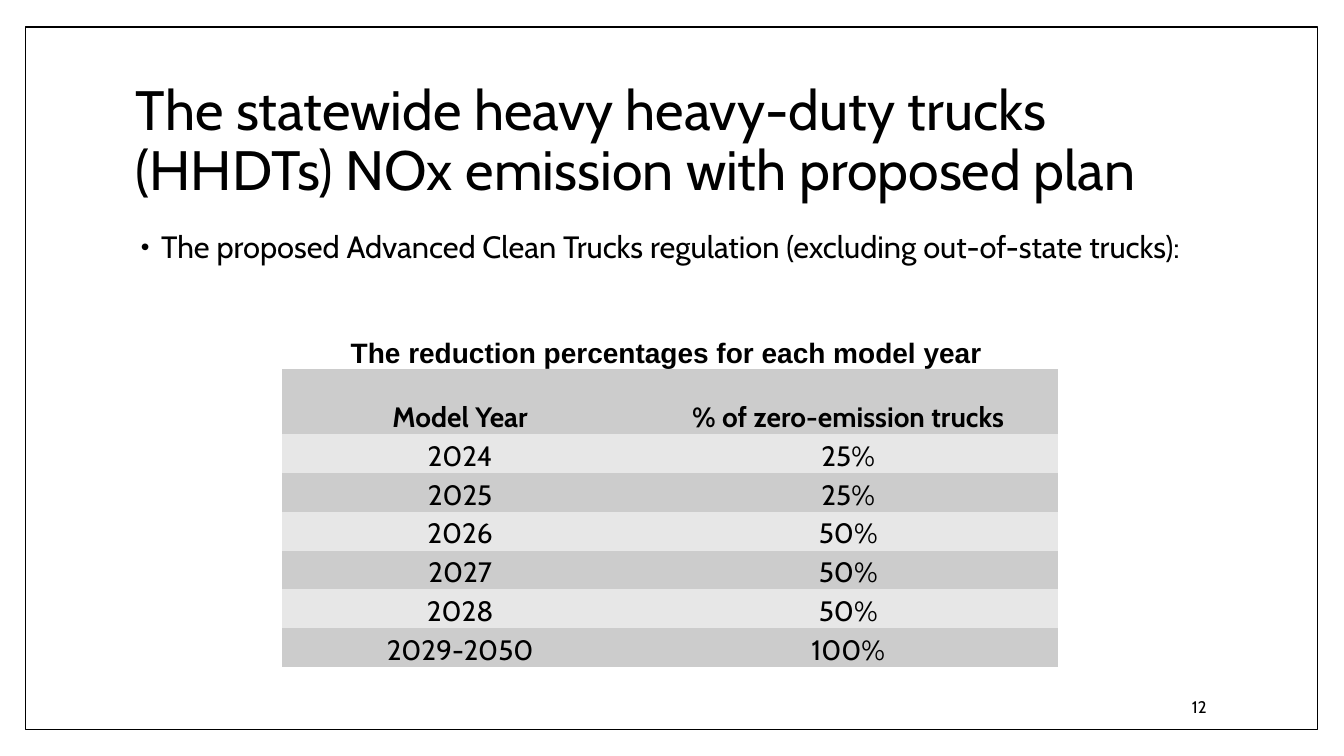
from dataclasses import dataclass

from lxml.etree import SubElement as Sub
from pptx import Presentation
from pptx.dml.color import RGBColor
from pptx.enum.shapes import MSO_SHAPE as Form
from pptx.enum.text import MSO_ANCHOR as Anchor, PP_ALIGN as Align
from pptx.oxml.ns import qn
from pptx.slide import Slide
from pptx.table import Table
from pptx.util import Pt

BLACK = RGBColor(0x00, 0x00, 0x00)
WHITE = RGBColor(0xFF, 0xFF, 0xFF)
DARK = RGBColor(0xCC, 0xCC, 0xCC)
LIGHT = RGBColor(0xE7, 0xE7, 0xE7)
PLAIN = "{2D5ABB26-0587-4C30-8999-92F81FD0307C}"


@dataclass
class Style:
    """Look of a paragraph and its run."""
    size: float
    font: str = "Cabin"
    bold: bool = False
    align: Align = Align.LEFT
    lead: float = 1.0
    before: float = 0


@dataclass
class Note:
    """A text box with one paragraph."""
    text: str
    box: tuple[float, float, float, float]
    style: Style
    anchor: Anchor = Anchor.MIDDLE
    bullet: bool = False


NOTES = [
    Note("The statewide heavy heavy-duty trucks (HHDTs) NOx emission with proposed plan",
         (90, 48.24, 777.6, 106.56), Style(39.6, lead=0.9)),
    Note("The proposed Advanced Clean Trucks regulation (excluding out-of-state trucks):",
         (90, 162, 777.6, 318.24), Style(22, lead=0.9, before=14), Anchor.TOP, True),
    Note("12", (734.4, 490.32, 134.64, 28.8), Style(12, align=Align.RIGHT)),
]
TITLE = "The reduction percentages for each model year "
HEAD = ("Model Year", "% of zero-emission trucks")
YEARS = [("2024", "25%"), ("2025", "25%"), ("2026", "50%"),
         ("2027", "50%"), ("2028", "50%"), ("2029-2050", "100%")]
COLS = (254.16, 300.24)
ROWS = [46.8] * 2 + [22.32] * len(YEARS)
CELL = Style(20, align=Align.CENTER, lead=1.15)
BOLD = Style(20, bold=True, align=Align.CENTER, lead=1.15)
TOP = Style(20, "Arial", True, Align.CENTER, 1.15)


def write(par, text: str, style: Style) -> None:
    """Add one styled run to a paragraph."""
    par.alignment = style.align
    par.line_spacing = style.lead
    par.space_before = Pt(style.before)
    run = par.add_run()
    run.text = text
    run.font.size = Pt(style.size)
    run.font.name = style.font
    run.font.bold = style.bold
    run.font.color.rgb = BLACK


def mark(par) -> None:
    """Give a paragraph a round bullet with a hanging indent."""
    props = par._p.get_or_add_pPr()
    props.set("marL", str(Pt(18)))
    props.set("indent", str(-Pt(14.4)))
    tint = Sub(props, qn("a:buClr"))
    Sub(tint, qn("a:srgbClr"), val=str(BLACK))
    Sub(props, qn("a:buSzPct"), val="80000")
    Sub(props, qn("a:buFont"), typeface="Arial")
    Sub(props, qn("a:buChar"), char="•")


def border(slide: Slide) -> None:
    """Draw the thin border around the slide."""
    rect = slide.shapes.add_shape(Form.RECTANGLE, Pt(18), Pt(19.44), Pt(923.04), Pt(501.84))
    rect.shadow.inherit = False
    rect.fill.solid()
    rect.fill.fore_color.rgb = WHITE
    rect.line.color.rgb = BLACK
    rect.line.width = Pt(1)


def place(slide: Slide, note: Note) -> None:
    """Draw a text box."""
    frame = slide.shapes.add_textbox(*map(Pt, note.box)).text_frame
    frame.word_wrap = True
    frame.vertical_anchor = note.anchor
    par = frame.paragraphs[0]
    write(par, note.text, note.style)
    if note.bullet:
        mark(par)


def put(table: Table, row: int, col: int, text: str, style: Style,
        fill: RGBColor | None = None) -> None:
    """Fill one table cell."""
    cell = table.cell(row, col)
    cell.vertical_anchor = Anchor.BOTTOM
    cell.margin_left = cell.margin_right = Pt(5)
    cell.margin_top = cell.margin_bottom = Pt(0)
    if fill is None:
        cell.fill.background()
    else:
        cell.fill.solid()
        cell.fill.fore_color.rgb = fill
    write(cell.text_frame.paragraphs[0], text, style)


def grid(slide: Slide) -> None:
    """Draw the table of model years."""
    frame = slide.shapes.add_table(len(ROWS), len(COLS), Pt(201.6), Pt(216.72),
                                   Pt(sum(COLS)), Pt(sum(ROWS)))
    table = frame.table
    next(frame.element.iter(qn("a:tableStyleId"))).text = PLAIN
    table.first_row = table.horz_banding = False
    for col, width in zip(table.columns, COLS):
        col.width = Pt(width)
    for row, height in zip(table.rows, ROWS):
        row.height = Pt(height)
    table.cell(0, 0).merge(table.cell(0, 1))
    put(table, 0, 0, TITLE, TOP)
    for row, pair in enumerate([HEAD, *YEARS], 1):
        for col, text in enumerate(pair):
            put(table, row, col, text, BOLD if row == 1 else CELL,
                DARK if row % 2 else LIGHT)


def main() -> None:
    """Build and save the slide."""
    deck = Presentation()
    deck.slide_width, deck.slide_height = Pt(960), Pt(540)
    slide = deck.slides.add_slide(deck.slide_layouts[6])
    border(slide)
    for note in NOTES[:2]:
        place(slide, note)
    grid(slide)
    place(slide, NOTES[2])
    deck.save("out.pptx")


if __name__ == "__main__":
    main()
